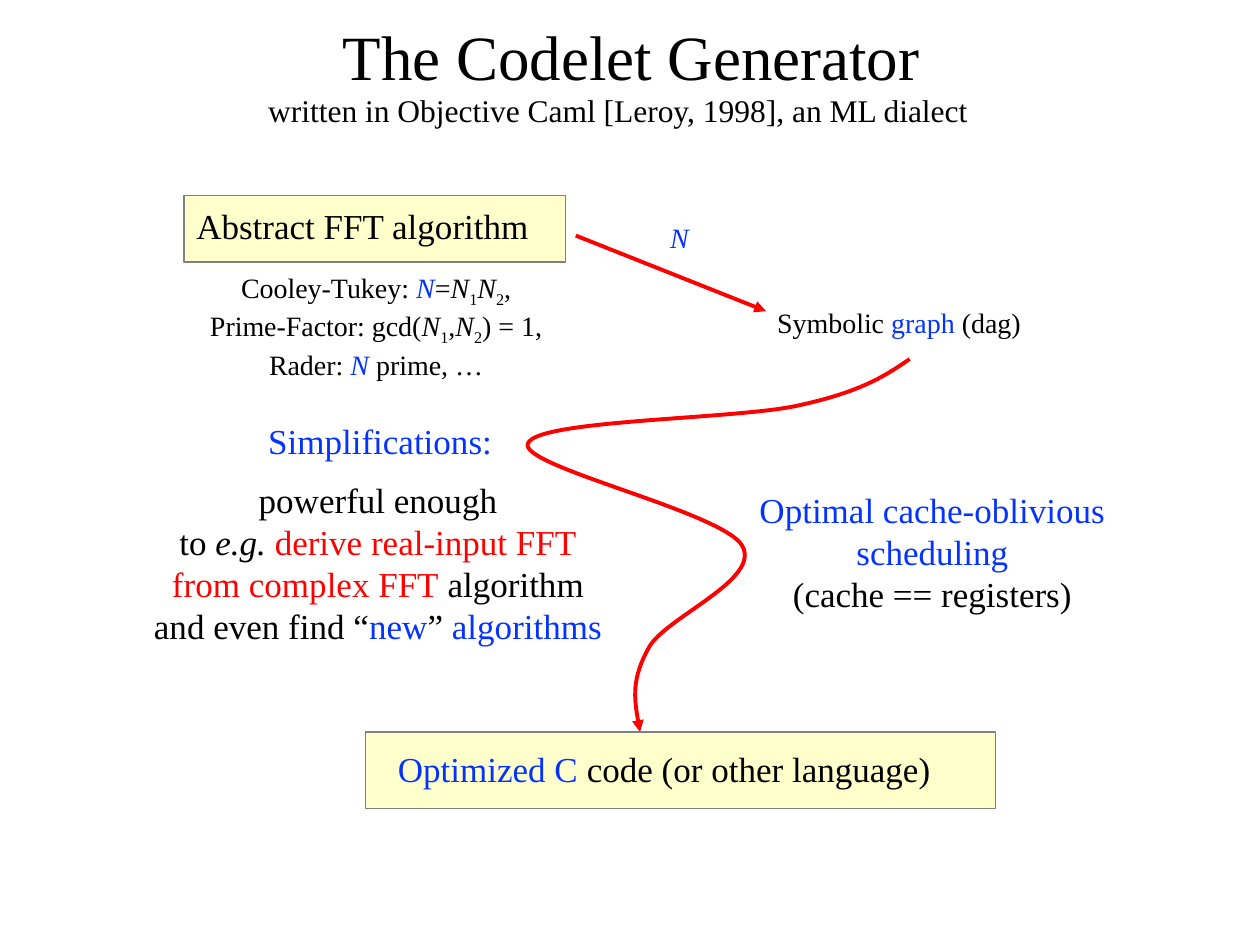
from lxml import etree
from pptx import Presentation
from pptx import util as u
from pptx.dml.color import RGBColor
from pptx.enum import shapes, text
from pptx.oxml.ns import qn

COLORS = {"black": "000000", "blue": "0432FF", "red": "FF0000",
          "box": "FFFFCC", "border": "808080"}
FONT = "Times New Roman"
LEFT, CENTER = text.PP_ALIGN.LEFT, text.PP_ALIGN.CENTER

BLUE, RED, ITALIC = {"color": "blue"}, {"color": "red"}, {"italic": True}
N = ("N", ITALIC)
BLUE_N = ("N", {"color": "blue", "italic": True})
SUB_1, SUB_2 = (("12"[i], {"baseline": -25000}) for i in range(2))

CURVE = [(7.22, 2.85),
         (7.03, 2.98), (6.84, 3.11), (6.33, 3.22),
         (5.83, 3.33), (4.26, 3.33), (4.19, 3.52),
         (4.11, 3.70), (5.73, 4.06), (5.89, 4.33),
         (6.05, 4.60), (5.28, 4.90), (5.15, 5.14),
         (5.01, 5.39), (5.04, 5.60), (5.08, 5.81)]


def rgb(name):
    return RGBColor.from_string(COLORS[name])


def place(shape, box):
    shape.left, shape.top, shape.width, shape.height = map(u.Inches, box)


def add_run(paragraph, words, size, color="black", italic=False, baseline=0):
    run = paragraph.add_run()
    run.text = words
    font = run.font
    font.name, font.size, font.italic = FONT, u.Pt(size), italic
    font.color.rgb = rgb(color)
    if baseline:
        run._r.get_or_add_rPr().set("baseline", str(baseline))


def write(frame, lines, size=20, align=LEFT, anchor=text.MSO_ANCHOR.TOP, wrap=False):
    """Fill a frame; each line lists plain strings or (words, format) pairs."""
    frame.word_wrap, frame.vertical_anchor = wrap, anchor
    for i, line in enumerate(lines):
        paragraph = frame.add_paragraph() if i else frame.paragraphs[0]
        paragraph.alignment = align
        for part in line:
            words, style = (part, {}) if isinstance(part, str) else part
            add_run(paragraph, words, size, **style)


def add_label(slide, box, lines, **style):
    label = slide.shapes.add_textbox(*map(u.Inches, box))
    write(label.text_frame, lines, **style)


def add_panel(slide, box):
    panel = slide.shapes.add_shape(shapes.MSO_SHAPE.RECTANGLE, *map(u.Inches, box))
    panel.shadow.inherit = False
    panel.fill.solid()
    panel.fill.fore_color.rgb = rgb("box")
    panel.line.color.rgb = rgb("border")
    panel.line.width = u.Pt(0.75)


def style_arrow(arrow):
    arrow.line.color.rgb = rgb("red")
    arrow.line.width = u.Pt(2.25)
    etree.SubElement(arrow.line._get_or_add_ln(), qn("a:tailEnd"), type="triangle")
    etree.SubElement(arrow._element.spPr, qn("a:effectLst"))


def add_straight_arrow(slide, start, end):
    style_arrow(slide.shapes.add_connector(
        shapes.MSO_CONNECTOR.STRAIGHT, *map(u.Inches, start + end)))


def add_curved_arrow(slide, points):
    """Draw a start point followed by Bezier triples (two controls, one end)."""
    builder = slide.shapes.build_freeform(*points[0], scale=u.Inches(1))
    # Builder coordinates are whole numbers, so work in hundredths of an inch.
    grid = [(round(x * 100), round(y * 100)) for x, y in points]
    builder = slide.shapes.build_freeform(*grid[0], scale=u.Inches(0.01))
    builder.add_line_segments(grid[1:], close=False)
    arrow = builder.convert_to_shape()
    segments = list(arrow._element.iter(qn("a:lnTo")))
    for i in range(0, len(segments), 3):
        bezier = etree.Element(qn("a:cubicBezTo"))
        segments[i].addprevious(bezier)
        for segment in segments[i:i + 3]:
            bezier.append(segment[0])
            segment.getparent().remove(segment)
    arrow.fill.background()
    style_arrow(arrow)


def main():
    deck = Presentation()
    deck.slide_width, deck.slide_height = u.Inches(10), u.Inches(7.5)
    slide = deck.slides.add_slide(deck.slide_layouts[5])

    title = slide.shapes.title
    place(title, (1.82, -0.03, 6.38, 0.94))
    write(title.text_frame, [["The Codelet Generator"]], size=36, align=CENTER,
          anchor=text.MSO_ANCHOR.MIDDLE, wrap=True)
    add_label(slide, (2.03, 0.67, 7.05, 0.49),
              [["written in Objective Caml [Leroy, 1998], an ML dialect"]], size=18)

    add_panel(slide, (1.46, 1.55, 3.03, 0.53))
    add_label(slide, (1.46, 1.57, 2.86, 0.44), [["Abstract FFT algorithm"]])
    add_label(slide, (0.95, 2.1, 4.07, 0.91), [
        ["Cooley-Tukey: ", BLUE_N, "=", N, SUB_1, N, SUB_2, ","],
        ["Prime-Factor: gcd(", N, SUB_1, ",", N, SUB_2, ") = 1,"],
        ["Rader: ", BLUE_N, " prime, …"],
    ], size=16, align=CENTER, wrap=True)

    add_straight_arrow(slide, (4.57, 1.87), (6.08, 2.47))
    add_label(slide, (5.22, 1.7, 0.35, 0.37), [[BLUE_N]], size=16)
    add_label(slide, (6.07, 2.38, 2.16, 0.37),
              [["Symbolic ", ("graph", BLUE), " (dag)"]], size=16)

    add_curved_arrow(slide, CURVE)
    add_label(slide, (2.03, 3.28, 1.99, 0.44), [[("Simplifications:", BLUE)]])
    add_label(slide, (1.11, 3.75, 3.78, 1.45), [
        ["powerful enough"],
        ["to ", ("e.g. ", ITALIC), ("derive real-input FFT", RED)],
        [("from complex FFT", RED), " algorithm"],
        ["and even find “", ("new", BLUE), "” ", ("algorithms", BLUE)],
    ], align=CENTER)
    add_label(slide, (5.92, 3.83, 2.96, 1.11), [
        [("Optimal cache-oblivious", BLUE)],
        [("scheduling", BLUE)],
        ["(cache == registers)"],
    ], align=CENTER)

    add_panel(slide, (2.9, 5.81, 5, 0.61))
    add_label(slide, (3.06, 5.88, 4.46, 0.44),
              [[("Optimized C ", BLUE), "code (or other language)"]])

    deck.save("out.pptx")


if __name__ == "__main__":
    main()
